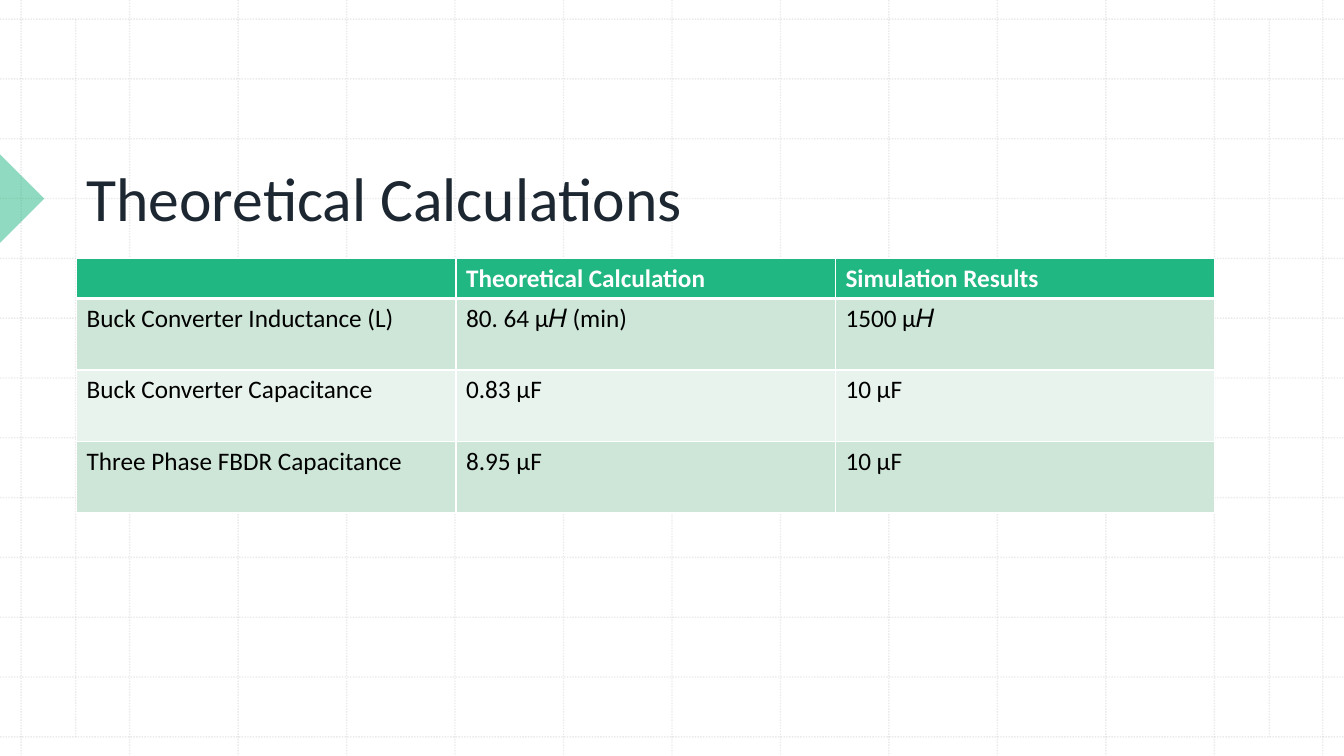
from typing import NamedTuple

from lxml import etree
from pptx import Presentation
from pptx import util as u
from pptx.dml.color import RGBColor
from pptx.enum import dml, shapes, text
from pptx.oxml import ns

WHITE = RGBColor(0xFF, 0xFF, 0xFF)
BLACK = RGBColor(0x00, 0x00, 0x00)
GRID_GREY = RGBColor(0xBC, 0xBC, 0xBC)
GREEN = RGBColor(0x21, 0xB7, 0x82)
BAND_DARK = RGBColor(0xCD, 0xE6, 0xD8)
BAND_LIGHT = RGBColor(0xE8, 0xF3, 0xED)
NAVY = RGBColor(0x1C, 0x27, 0x32)
FONT = "Calibri"

WIDTH, HEIGHT = 13.33, 7.5
GRID_LEFT, GRID_RIGHT = 0.21, 13.12
GRID_TOP, GRID_BOTTOM = 0.19, 7.31
GRID_STEPS = 12
LEFT, CONTENT_WIDTH = 0.76, 11.29
TABLE_TOP = 2.56


class GridLine(NamedTuple):
    x1: float
    y1: float
    x2: float
    y2: float


class TableRow(NamedTuple):
    cells: tuple[str, str, str]
    height: float
    fill: RGBColor
    color: RGBColor = BLACK
    bold: bool = False


ROWS = [
    TableRow(("", "Theoretical Calculation", "Simulation Results"),
             0.4, GREEN, WHITE, True),
    TableRow(("Buck Converter Inductance (L)", "80. 64 µ𝐻 (min)", "1500 µ𝐻"),
             0.71, BAND_DARK),
    TableRow(("Buck Converter Capacitance", "0.83 µF", "10 µF"),
             0.71, BAND_LIGHT),
    TableRow(("Three Phase FBDR Capacitance", "8.95 µF", "10 µF"),
             0.71, BAND_DARK),
]


def grid_lines() -> list[GridLine]:
    x_step = (GRID_RIGHT - GRID_LEFT) / GRID_STEPS
    y_step = (GRID_BOTTOM - GRID_TOP) / GRID_STEPS
    lines = []
    for i in range(GRID_STEPS + 1):
        x, y = GRID_LEFT + i * x_step, GRID_TOP + i * y_step
        lines += [GridLine(x, 0, x, HEIGHT), GridLine(0, y, WIDTH, y)]
    margins = [GridLine(x, GRID_TOP, x, GRID_BOTTOM) for x in (0.75, 12.59)]
    return lines + margins


def set_opacity(element, percent: int) -> None:
    color = element.find(".//" + ns.qn("a:srgbClr"))
    etree.SubElement(color, ns.qn("a:alpha"), val=str(percent * 1000))


def add_grid_line(page, line: GridLine) -> None:
    connector = page.shapes.add_connector(
        shapes.MSO_CONNECTOR.STRAIGHT, *(u.Inches(value) for value in line))
    connector.line.color.rgb = GRID_GREY
    connector.line.width = u.Pt(1)
    connector.line.dash_style = dml.MSO_LINE.ROUND_DOT
    properties = connector.element.spPr
    set_opacity(properties, 30)
    etree.SubElement(properties, ns.qn("a:effectLst"))


def add_marker(page) -> None:
    """Draw the green pointer on the left edge of the page."""
    marker = page.shapes.add_shape(
        shapes.MSO_SHAPE.RIGHT_TRIANGLE,
        u.Inches(-0.31), u.Inches(1.66), u.Inches(0.62), u.Inches(0.62))
    marker.rotation = 225
    marker.shadow.inherit = False
    marker.fill.solid()
    marker.fill.fore_color.rgb = GREEN
    set_opacity(marker.element.spPr, 50)
    marker.line.fill.background()


def write(para, words: str, size: int, color: RGBColor, bold: bool) -> None:
    span = para.add_run()
    span.text = words
    span.font.name = FONT
    span.font.size = u.Pt(size)
    span.font.bold = bold
    span.font.color.rgb = color


def add_title(page, words: str) -> None:
    box = page.shapes.add_textbox(
        u.Inches(LEFT), u.Inches(0.79), u.Inches(CONTENT_WIDTH), u.Inches(1.58))
    frame = box.text_frame
    frame.word_wrap = True
    frame.vertical_anchor = text.MSO_ANCHOR.BOTTOM
    write(frame.paragraphs[0], words, 44, NAVY, False)


def set_borders(cell, top: int, bottom: int) -> None:
    """Give the cell white borders; the widths are in points."""
    properties = cell._tc.get_or_add_tcPr()
    for side, width in (("L", 1), ("R", 1), ("T", top), ("B", bottom)):
        border = etree.SubElement(
            properties, ns.qn(f"a:ln{side}"), w=str(u.Pt(width)))
        fill = etree.SubElement(border, ns.qn("a:solidFill"))
        etree.SubElement(fill, ns.qn("a:srgbClr"), val=str(WHITE))


def add_results_table(page, rows: list[TableRow]) -> None:
    columns = len(rows[0].cells)
    height = sum(row.height for row in rows)
    table = page.shapes.add_table(
        len(rows), columns, u.Inches(LEFT), u.Inches(TABLE_TOP),
        u.Inches(CONTENT_WIDTH), u.Inches(height)).table
    for column in table.columns:
        column.width = u.Inches(CONTENT_WIDTH / columns)
    for r, row in enumerate(rows):
        table.rows[r].height = u.Inches(row.height)
        for c, words in enumerate(row.cells):
            cell = table.cell(r, c)
            set_borders(cell, top=3 if r == 1 else 1, bottom=3 if r == 0 else 1)
            cell.fill.solid()
            cell.fill.fore_color.rgb = row.fill
            if words:
                write(cell.text_frame.paragraphs[0], words, 18,
                      row.color, row.bold)


def main() -> None:
    deck = Presentation()
    deck.slide_width, deck.slide_height = u.Inches(WIDTH), u.Inches(HEIGHT)
    page = deck.slides.add_slide(deck.slide_layouts[6])
    for line in grid_lines():
        add_grid_line(page, line)
    add_marker(page)
    add_title(page, "Theoretical Calculations")
    add_results_table(page, ROWS)
    deck.save("out.pptx")


if __name__ == "__main__":
    main()
